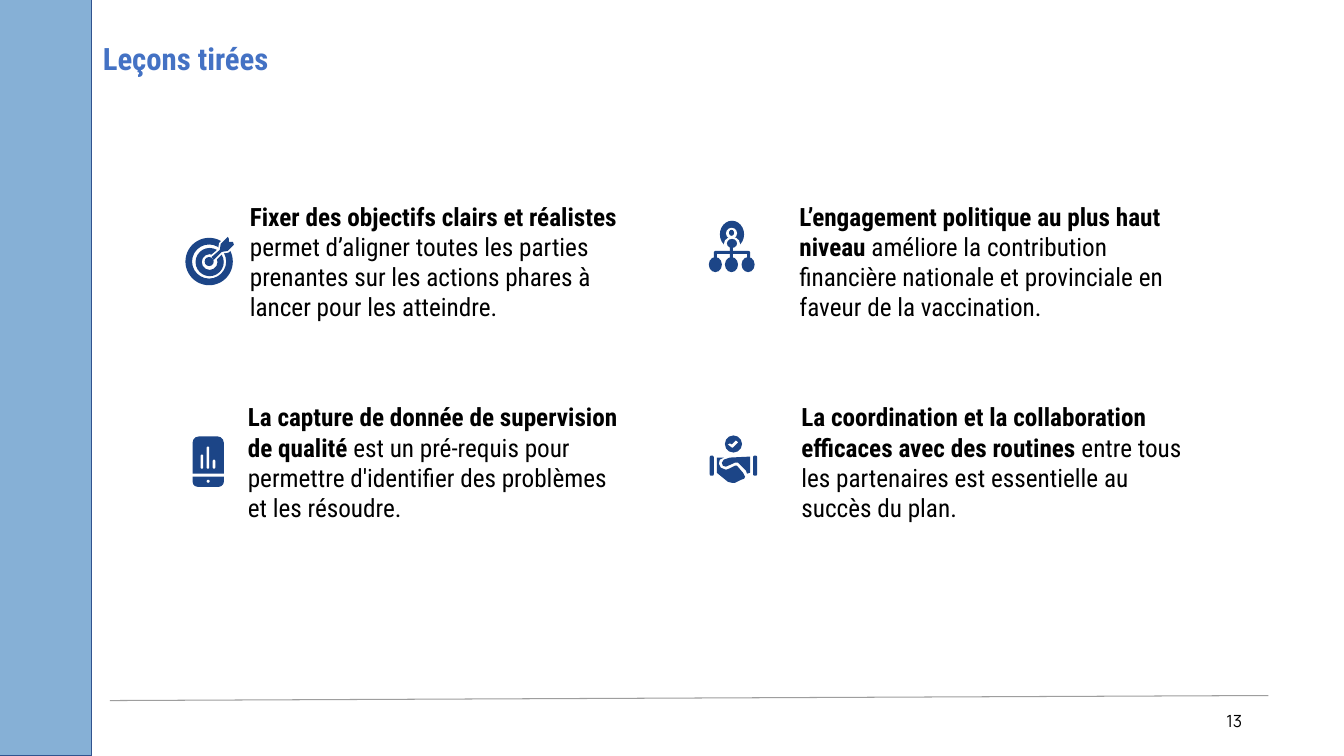
"""Build the "Leçons tirées" slide: four lessons, each beside its icon."""
from dataclasses import dataclass

from lxml import etree
from pptx import Presentation
from pptx.dml.color import RGBColor
from pptx.enum.shapes import MSO_CONNECTOR, MSO_SHAPE
from pptx.enum.text import MSO_ANCHOR, MSO_AUTO_SIZE, PP_ALIGN
from pptx.oxml.ns import qn
from pptx.util import Inches, Pt

OVAL = MSO_SHAPE.OVAL
DONUT = MSO_SHAPE.DONUT
RECTANGLE = MSO_SHAPE.RECTANGLE
ROUNDED = MSO_SHAPE.ROUNDED_RECTANGLE
ROUNDED_ENDS = MSO_SHAPE.ROUND_2_SAME_RECTANGLE
STRAIGHT = MSO_CONNECTOR.STRAIGHT
MIDDLE = MSO_ANCHOR.MIDDLE
NO_AUTOFIT = MSO_AUTO_SIZE.NONE
LEFT, RIGHT = PP_ALIGN.LEFT, PP_ALIGN.RIGHT

WHITE = RGBColor(0xFF, 0xFF, 0xFF)
BLACK = RGBColor(0x00, 0x00, 0x00)
NAVY = RGBColor(0x1C, 0x45, 0x87)
TITLE_BLUE = RGBColor(0x44, 0x72, 0xC4)
SIDEBAR_BLUE = RGBColor(0x86, 0xB0, 0xD6)
SIDEBAR_EDGE = RGBColor(0x31, 0x53, 0x8F)
RULE_GREY = RGBColor(0x9E, 0x9E, 0x9E)

HEADING_FONT = "Roboto Condensed"
NUMBER_FONT = "Manrope"
SLIDE_WIDTH, SLIDE_HEIGHT = Inches(13.33), Inches(7.5)
ICON_CELL = Inches(0.01)
ROW_TOPS = (25.73, 52.27)
LESSON_WIDTH, LESSON_HEIGHT = 29.78, 17.73


@dataclass(frozen=True)
class Part:
    """A preset shape placed on the cells of an icon."""
    preset: MSO_SHAPE
    box: tuple[float, float, float, float]
    color: RGBColor = NAVY
    adjustments: tuple[float, ...] = ()


@dataclass(frozen=True)
class Outline:
    """A polygon on the cells of an icon, widened by a border in points."""
    points: tuple[tuple[float, float], ...]
    color: RGBColor = NAVY
    border: float = 0


@dataclass(frozen=True)
class Lesson:
    """A lesson with its icon; positions are percentages of the slide."""
    left: float
    row: int
    strong: str
    plain: str
    icon_left: float
    icon_top: float
    icon: tuple[Part | Outline, ...]


ARROW = ((42, 0), (35, 7), (34, 13), (26, 20), (28, 23), (36, 15),
         (42, 14), (48, 8), (47, 5), (43, 5), (43, 2))
LOWER_HAND = ((7, 22), (7, 37), (18, 46), (22, 47), (25, 47), (31, 44),
              (34, 43), (35, 41), (33, 37), (27, 30), (25, 30), (19, 33),
              (16, 34), (11, 32), (9, 28), (10, 24), (14, 22))
UPPER_HAND = ((40, 21), (20, 22), (14, 24), (12, 27), (13, 30), (16, 31),
              (23, 28), (25, 27), (28, 27), (30, 29), (36, 35), (37, 38),
              (40, 37))
CHECK_MARK = ((26, 5), (28, 7), (23, 12), (22, 12), (18, 9), (20, 8), (22, 9))

TARGET = (
    Part(DONUT, (0, 1, 47, 47), adjustments=(0.14,)),
    Part(DONUT, (10, 11, 28, 28), adjustments=(0.22,)),
    Outline(ARROW, WHITE, 2.5),
    Part(OVAL, (19, 20, 9, 9)),
    Outline(ARROW),
)
NETWORK = (
    Part(OVAL, (11, 0, 24, 27)),
    Part(OVAL, (15, 16, 16, 14), WHITE),
    Part(OVAL, (17, 7, 11, 11), WHITE),
    Part(OVAL, (20, 9, 5, 6)),
    Part(OVAL, (18, 18, 10, 9)),
    Part(RECTANGLE, (21, 26, 3, 11)),
    Part(ROUNDED, (5, 30, 36, 3), adjustments=(0.5,)),
    *(Part(RECTANGLE, (left, 32, 3, 6)) for left in (5, 38)),
    *(Part(OVAL, (left, 36, 13, 15)) for left in (0, 16, 32.5)),
)
PHONE = (
    Part(ROUNDED_ENDS, (0, 0, 31, 37), adjustments=(0.2, 0)),
    *(Part(ROUNDED, (left, top, 2.5, 32 - top), WHITE, (0.5,))
      for left, top in ((8, 18), (14, 10), (20, 23))),
    Part(ROUNDED_ENDS, (0, 40, 31, 10), adjustments=(0, 0.5)),
    Part(OVAL, (14, 43, 3, 3), WHITE),
)
HANDSHAKE = (
    Part(OVAL, (15, 0, 17, 17)),
    Outline(CHECK_MARK, WHITE),
    *(Part(ROUNDED, (left, 20, 4, 20), adjustments=(0.4,)) for left in (0, 43)),
    Outline(LOWER_HAND),
    Outline(UPPER_HAND),
)

LESSONS = (
    Lesson(17.85, 0, "Fixer des objectifs clairs et réalistes",
           " permet d’aligner toutes les parties prenantes sur les actions "
           "phares à lancer pour les atteindre.", 13.8, 31.33, TARGET),
    Lesson(58.74, 0, "L’engagement politique au plus haut niveau ",
           "améliore la contribution financière nationale et provinciale en "
           "faveur de la vaccination.", 52.74, 29.2, NETWORK),
    Lesson(17.7, 1, "La capture de donnée de supervision de qualité",
           " est un pré-requis pour permettre d'identifier des problèmes et "
           "les résoudre.", 14.33, 57.73, PHONE),
    Lesson(58.89, 1,
           "La coordination et la collaboration efficaces avec des routines ",
           "entre tous les partenaires est essentielle au succès du plan.",
           52.81, 57.6, HANDSHAKE),
)


def across(percent: float) -> int:
    """Return a share of the slide's width."""
    return round(SLIDE_WIDTH * percent / 100)


def down(percent: float) -> int:
    """Return a share of the slide's height."""
    return round(SLIDE_HEIGHT * percent / 100)


def frame(left: float, top: float, width: float, height: float) -> tuple[int, ...]:
    """Return a box given in percentages of the slide."""
    return across(left), down(top), across(width), down(height)


def paint(shape, color: RGBColor, edge: RGBColor, border: float) -> None:
    """Fill a shape and give it an edge, or none when the border is zero."""
    shape.shadow.inherit = False
    shape.fill.solid()
    shape.fill.fore_color.rgb = color
    if border:
        shape.line.color.rgb = edge
        shape.line.width = Pt(border)
    else:
        shape.line.fill.background()


def add_run(paragraph, text: str, font_name: str, size: float,
            color: RGBColor = BLACK, bold: bool = False) -> None:
    """Append a formatted run to a paragraph."""
    run = paragraph.add_run()
    run.text = text
    run.font.name = font_name
    run.font.size = Pt(size)
    run.font.bold = bold
    run.font.color.rgb = color


def prepare_text(shape, alignment: PP_ALIGN = LEFT):
    """Set up a wrapped, vertically centred text and return its paragraph."""
    text_frame = shape.text_frame
    text_frame.word_wrap = True
    text_frame.auto_size = NO_AUTOFIT
    text_frame.vertical_anchor = MIDDLE
    paragraph = text_frame.paragraphs[0]
    paragraph.alignment = alignment
    return paragraph


def draw_icon(slide, lesson: Lesson) -> None:
    """Draw the icon of a lesson as one group."""
    shapes = slide.shapes.add_group_shape().shapes
    left, top = across(lesson.icon_left), down(lesson.icon_top)
    for part in lesson.icon:
        if isinstance(part, Outline):
            builder = shapes.build_freeform(*part.points[0], scale=ICON_CELL)
            builder.add_line_segments(part.points[1:], close=True)
            shape = builder.convert_to_shape(left, top)
            paint(shape, part.color, part.color, part.border)
        else:
            x, y, width, height = (round(ICON_CELL * cells) for cells in part.box)
            shape = shapes.add_shape(part.preset, left + x, top + y, width, height)
            for index, value in enumerate(part.adjustments):
                shape.adjustments[index] = value
            paint(shape, part.color, part.color, 0)


def draw_lesson(slide, lesson: Lesson) -> None:
    """Draw a lesson's text and icon."""
    box = slide.shapes.add_textbox(
        *frame(lesson.left, ROW_TOPS[lesson.row], LESSON_WIDTH, LESSON_HEIGHT))
    paragraph = prepare_text(box)
    add_run(paragraph, lesson.strong, HEADING_FONT, 18, bold=True)
    add_run(paragraph, lesson.plain, HEADING_FONT, 18)
    draw_icon(slide, lesson)


def main() -> None:
    """Build and save the slide."""
    presentation = Presentation()
    presentation.slide_width, presentation.slide_height = SLIDE_WIDTH, SLIDE_HEIGHT
    slide = presentation.slides.add_slide(presentation.slide_layouts[5])

    title = slide.shapes.title
    title.left, title.top, title.width, title.height = frame(6.9, -0.13, 88.15, 16.4)
    paragraph = prepare_text(title)
    paragraph.line_spacing = 0.9
    add_run(paragraph, "Leçons tirées", HEADING_FONT, 22, TITLE_BLUE, True)

    sidebar = slide.shapes.add_shape(RECTANGLE, *frame(-0.38, -0.27, 7.2, 100.27))
    paint(sidebar, SIDEBAR_BLUE, SIDEBAR_EDGE, 1)

    number = slide.shapes.add_textbox(*frame(70.67, 92.67, 22.5, 5.33))
    add_run(prepare_text(number, RIGHT), "13", NUMBER_FONT, 12)

    rule = slide.shapes.add_connector(
        STRAIGHT, across(8.18), down(92.67), across(94.37), down(92))
    rule.line.color.rgb = RULE_GREY
    rule.line.width = Pt(0.75)
    etree.SubElement(rule._element.spPr, qn("a:effectLst"))

    for lesson in LESSONS:
        draw_lesson(slide, lesson)
    presentation.save("out.pptx")


if __name__ == "__main__":
    main()
